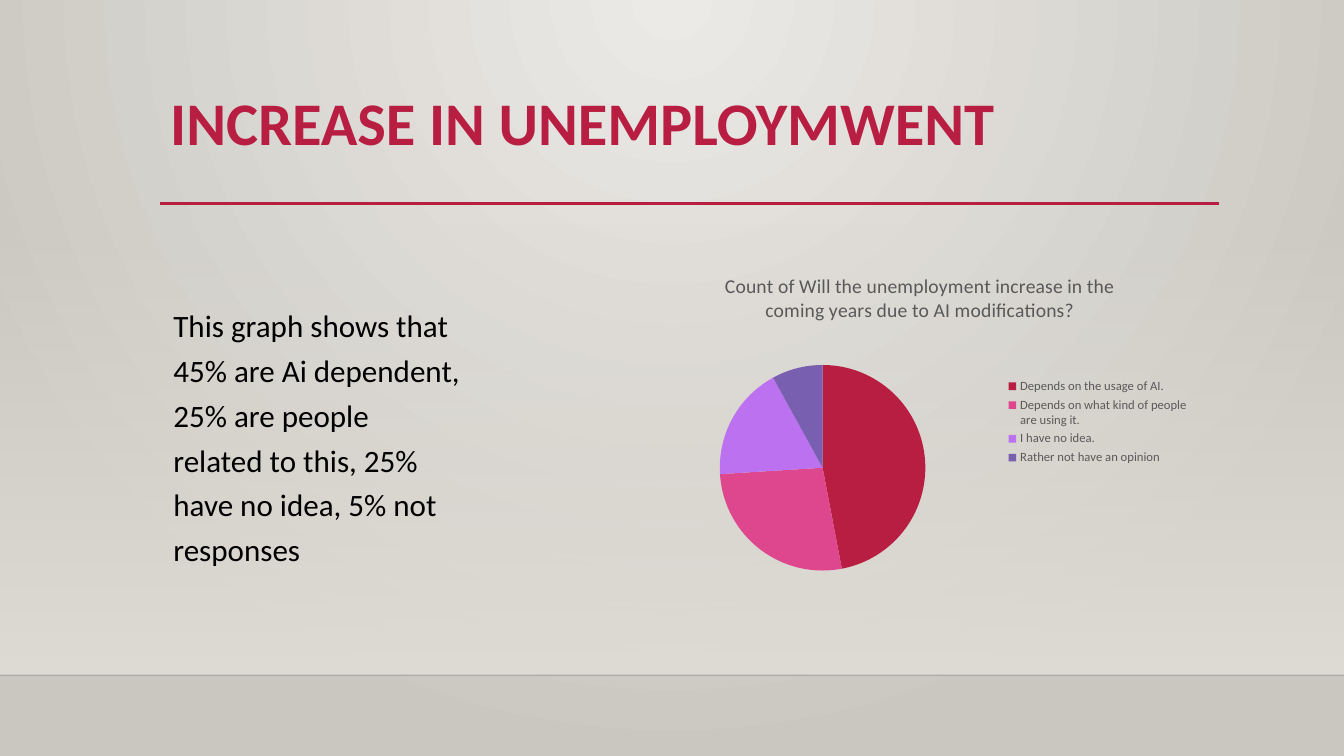
from lxml import etree
from pptx import Presentation
from pptx.chart.data import CategoryChartData
from pptx.dml.color import RGBColor
from pptx.enum.chart import XL_CHART_TYPE, XL_LEGEND_POSITION
from pptx.enum.shapes import MSO_CONNECTOR, MSO_SHAPE
from pptx.enum.text import MSO_ANCHOR
from pptx.oxml import parse_xml
from pptx.oxml.ns import nsdecls, qn
from pptx.util import Cm, Pt

PIE = XL_CHART_TYPE.PIE
LEGEND_RIGHT = XL_LEGEND_POSITION.RIGHT
STRAIGHT = MSO_CONNECTOR.STRAIGHT
RECTANGLE = MSO_SHAPE.RECTANGLE
TOP = MSO_ANCHOR.TOP

FONT = "Calibri"
CRIMSON = RGBColor(0xB7, 0x1E, 0x42)
PINK = RGBColor(0xDE, 0x47, 0x8E)
LILAC = RGBColor(0xBC, 0x72, 0xF0)
VIOLET = RGBColor(0x79, 0x5F, 0xAF)
BLACK = RGBColor(0, 0, 0)
GREY = RGBColor(0x59, 0x59, 0x59)
WALL_LIGHT = RGBColor(0xEC, 0xEA, 0xE7)
WALL_DARK = RGBColor(0xCA, 0xC7, 0xC1)
HAZE = RGBColor(0xDF, 0xDB, 0xD5)

SLIDE_WIDTH, SLIDE_HEIGHT = Cm(33.87), Cm(19.05)
FLOOR_TOP = Cm(17.02)

TITLE = "INCREASE IN UNEMPLOYMWENT"
SUMMARY = ("This graph shows that 45% are Ai dependent, 25% are people "
           "related to this, 25% have no idea, 5% not responses")
QUESTION = ("Count of Will the unemployment increase in the coming years "
            "due to AI modifications?")
ANSWERS = [
    ("Depends on the usage of AI.", 47, CRIMSON),
    ("Depends on what kind of people are using it.", 27, PINK),
    ("I have no idea.", 18, LILAC),
    ("Rather not have an opinion", 8, VIOLET),
]


def set_alpha(color_element, percent):
    etree.SubElement(color_element, qn("a:alpha")).set("val", str(percent * 1000))


def set_gradient(fill, start, end):
    fill.gradient()
    for stop, color, position in zip(fill.gradient_stops, (start, end), (0, 1)):
        stop.color.rgb = color
        stop.position = position


def add_rule(slide, left, top, width, color, weight):
    rule = slide.shapes.add_connector(STRAIGHT, left, top, left + width, top)
    rule.line.color.rgb = color
    rule.line.width = weight
    etree.SubElement(rule._element.spPr, qn("a:effectLst"))
    return rule


def add_text(slide, box, wording, size, color, spacing, bold=False):
    frame = slide.shapes.add_textbox(*box).text_frame
    frame.word_wrap = True
    frame.vertical_anchor = TOP
    frame.text = wording
    paragraph = frame.paragraphs[0]
    paragraph.line_spacing = spacing
    font = paragraph.runs[0].font
    font.name, font.size, font.bold = FONT, Pt(size), bold
    font.color.rgb = color


def draw_backdrop(slide):
    """Paint the round glow, the haze on the wall and the edge of the floor."""
    set_gradient(slide.background.fill, WALL_LIGHT, WALL_DARK)
    glow = slide.background._cSld.find(".//" + qn("a:gradFill"))
    direction = glow.find(qn("a:lin"))
    if direction is not None:
        glow.remove(direction)
    glow.append(parse_xml(
        f'<a:path {nsdecls("a")} path="circle">'
        '<a:fillToRect l="43000" t="0" r="43000" b="100000"/></a:path>'))

    haze_top = Cm(5.61)
    haze = slide.shapes.add_shape(RECTANGLE, 0, haze_top, SLIDE_WIDTH,
                                  FLOOR_TOP - haze_top)
    haze.shadow.inherit = False
    haze.line.fill.background()
    set_gradient(haze.fill, HAZE, HAZE)
    haze.fill.gradient_angle = 270
    set_alpha(haze._element.spPr.find(".//" + qn("a:srgbClr")), 0)

    edge = add_rule(slide, 0, FLOOR_TOP, SLIDE_WIDTH, BLACK, Pt(1))
    set_alpha(edge._element.spPr.find(".//" + qn("a:srgbClr")), 20)


def draw_heading(slide, left, top, width, height):
    add_text(slide, (left, top, width, height), TITLE, 43.2, CRIMSON, 0.9, bold=True)
    add_rule(slide, left, top + height, width, CRIMSON, Pt(2.5))


def place_in_chart(parent, x, y, w, h, inner=False):
    """Give the plot or legend a fixed place, in fractions of the chart."""
    for old in parent.findall(qn("c:layout")):
        parent.remove(old)
    target = '<c:layoutTarget val="inner"/>' if inner else ""
    layout = parse_xml(
        f'<c:layout {nsdecls("c")}><c:manualLayout>{target}'
        '<c:xMode val="edge"/><c:yMode val="edge"/>'
        f'<c:x val="{x}"/><c:y val="{y}"/><c:w val="{w}"/><c:h val="{h}"/>'
        '</c:manualLayout></c:layout>')
    position = 0 if inner else 1
    parent.insert(position, layout)


def draw_answer_pie(slide, left, top, width, height):
    data = CategoryChartData()
    data.categories = [answer for answer, _, _ in ANSWERS]
    data.add_series("Series 1", [share for _, share, _ in ANSWERS])
    chart = slide.shapes.add_chart(PIE, left, top, width, height, data).chart
    chart.font.name, chart.font.size = FONT, Pt(10)
    chart.font.color.rgb = BLACK

    chart.has_title = True
    chart.chart_title.include_in_layout = False
    chart.chart_title.text_frame.text = QUESTION
    title_font = chart.chart_title.text_frame.paragraphs[0].runs[0].font
    title_font.name, title_font.size, title_font.bold = FONT, Pt(14), False
    title_font.color.rgb = GREY

    chart.has_legend = True
    legend = chart.legend
    legend.position = LEGEND_RIGHT
    legend.include_in_layout = False
    legend.font.name, legend.font.size = FONT, Pt(9)
    legend.font.color.rgb = GREY

    plot = chart.plots[0]
    plot.vary_by_categories = True
    for index, (_, _, color) in enumerate(ANSWERS):
        slice_fill = plot.series[0].points[index].format.fill
        slice_fill.solid()
        slice_fill.fore_color.rgb = color

    plot_area = chart._chartSpace.find(".//" + qn("c:plotArea"))
    place_in_chart(plot_area, 0.14, 0.33, 0.37, 0.63, inner=True)
    place_in_chart(legend._element, 0.65, 0.36, 0.34, 0.29)


def main():
    deck = Presentation()
    deck.slide_width, deck.slide_height = SLIDE_WIDTH, SLIDE_HEIGHT
    slide = deck.slides.add_slide(deck.slide_layouts[6])
    draw_backdrop(slide)
    draw_heading(slide, Cm(4.04), Cm(2.23), Cm(26.68), Cm(2.9))
    summary_box = (Cm(4.12), Cm(7.42), Cm(7.85), Cm(6.5))
    add_text(slide, summary_box, SUMMARY, 22.2, BLACK, 1.2)
    draw_answer_pie(slide, Cm(16.18), Cm(6.48), Cm(14), Cm(8.23))
    deck.save("out.pptx")


if __name__ == "__main__":
    main()
